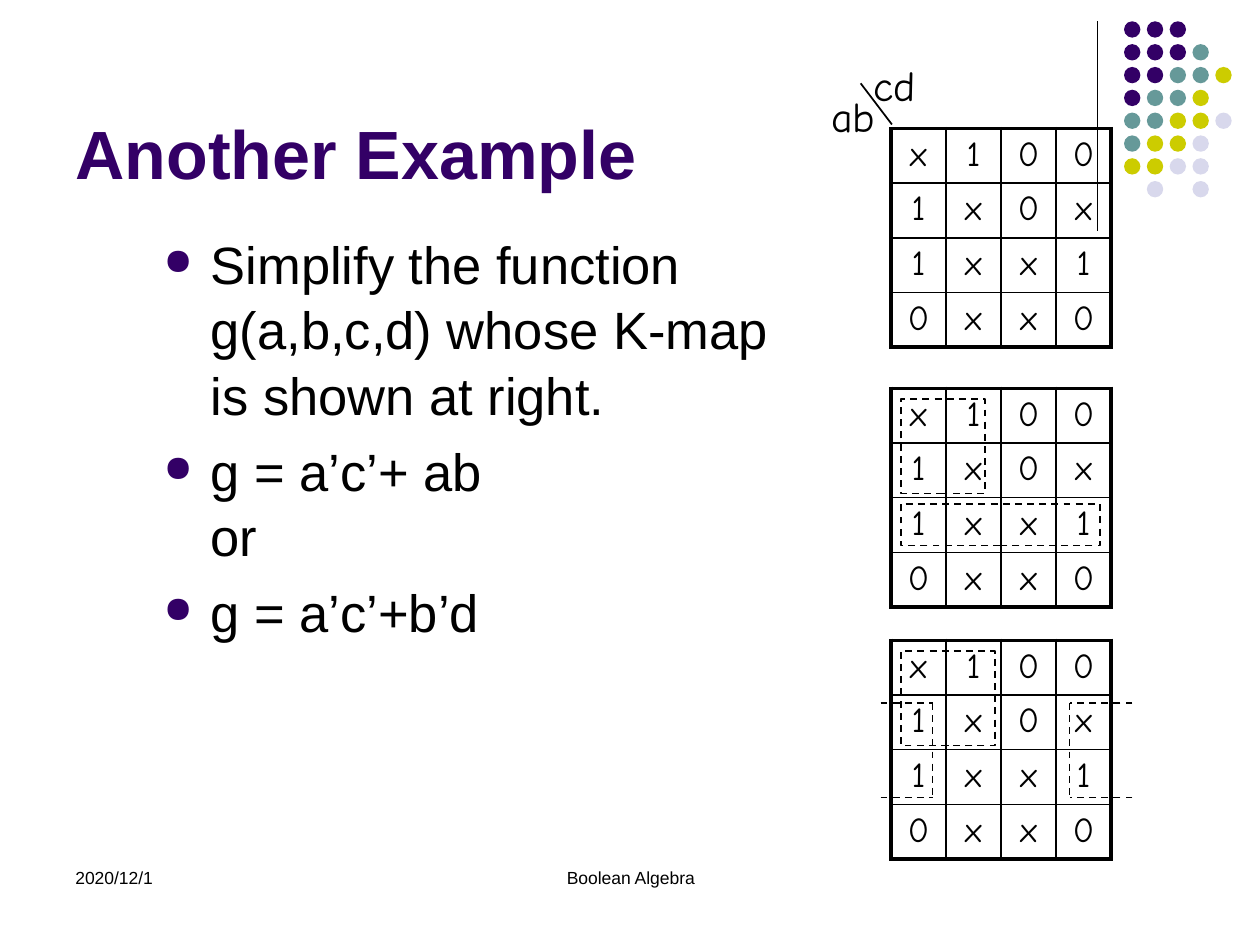
from lxml.etree import SubElement
from pptx import Presentation
from pptx.dml.color import RGBColor
from pptx.enum.dml import MSO_LINE
from pptx.enum.shapes import MSO_CONNECTOR, MSO_SHAPE
from pptx.enum.text import MSO_ANCHOR, MSO_AUTO_SIZE, PP_ALIGN
from pptx.oxml.ns import qn
from pptx.util import Cm, Pt

COLORS = {
    "ink": "000000",
    "purple": "330066",
    "teal": "669999",
    "olive": "CCCC00",
    "lilac": "D8D8EC",
}
DOT_COLORS = {"P": "purple", "T": "teal", "Y": "olive", "L": "lilac"}
DOT_ROWS = ["PPP", "PPPT", "PPTTY", "PTTY", "TTYYL", "TYYL", "YYLL", " L L"]
KMAP = ["x100", "1x0x", "1xx1", "0xx0"]
KMAP_LEFT = 17.96
KMAP_TOPS = [2.59, 7.83, 12.91]
BULLETS = [
    ["Simplify the function g(a,b,c,d) whose K-map is shown at right."],
    ["g = a’c’+ ab", "or"],
    ["g = a’c’+b’d"],
]


class Deck:
    body_font = "Arial"
    map_font = "Comic Neue"

    def __init__(self, prs):
        self.s = prs.slides.add_slide(prs.slide_layouts[5])

    def rgb(self, name):
        return RGBColor.from_string(COLORS[name])

    def run(self, p, text, size, font, color="ink", bold=False):
        r = p.add_run()
        r.text = text
        r.font.size = Pt(size)
        r.font.name = font
        r.font.bold = bold
        r.font.color.rgb = self.rgb(color)

    def title(self, text, x, y, w, h):
        sp = self.s.shapes.title
        sp.left, sp.top, sp.width, sp.height = Cm(x), Cm(y), Cm(w), Cm(h)
        tf = sp.text_frame
        tf.auto_size = MSO_AUTO_SIZE.NONE
        tf.vertical_anchor = MSO_ANCHOR.BOTTOM
        p = tf.paragraphs[0]
        p.alignment = PP_ALIGN.LEFT
        self.run(p, text, 39, self.body_font, "purple", True)

    def box(self, x, y, w, h, wrap=True):
        sp = self.s.shapes.add_textbox(Cm(x), Cm(y), Cm(w), Cm(h))
        sp.text_frame.word_wrap = wrap
        return sp.text_frame

    def label(self, text, x, y, w, h, size, font, align=PP_ALIGN.LEFT, wrap=True):
        p = self.box(x, y, w, h, wrap).paragraphs[0]
        p.alignment = align
        self.run(p, text, size, font)

    def bullets(self, items, x, y, w, h):
        tf = self.box(x, y, w, h)
        for i, lines in enumerate(items):
            p = tf.add_paragraph() if i else tf.paragraphs[0]
            pPr = p._p.get_or_add_pPr()
            pPr.set("marL", str(Cm(0.95)))
            pPr.set("indent", str(-Cm(0.95)))
            clr = SubElement(pPr, qn("a:buClr"))
            SubElement(clr, qn("a:srgbClr"), val=COLORS["purple"])
            SubElement(pPr, qn("a:buSzPct"), val="70000")
            SubElement(pPr, qn("a:buChar"), char="●")
            p.line_spacing = 1.04
            if i:
                p.space_before = Pt(6)
            for j, line in enumerate(lines):
                if j:
                    p.add_line_break()
                self.run(p, line, 30, self.body_font)

    def dot(self, x, y, size, color):
        sp = self.s.shapes.add_shape(MSO_SHAPE.OVAL, Cm(x), Cm(y), Cm(size), Cm(size))
        sp.shadow.inherit = False
        sp.fill.solid()
        sp.fill.fore_color.rgb = self.rgb(color)
        sp.line.fill.background()

    def stroke(self, line, width, dashed):
        line.color.rgb = self.rgb("ink")
        line.width = Pt(width)
        if dashed:
            line.dash_style = MSO_LINE.DASH

    def loop(self, x, y, w, h):
        sp = self.s.shapes.add_shape(MSO_SHAPE.RECTANGLE, Cm(x), Cm(y), Cm(w), Cm(h))
        sp.shadow.inherit = False
        sp.fill.background()
        self.stroke(sp.line, 1, True)

    def line(self, x1, y1, x2, y2, width=1, dashed=False):
        c = self.s.shapes.add_connector(
            MSO_CONNECTOR.STRAIGHT, Cm(x1), Cm(y1), Cm(x2), Cm(y2))
        SubElement(c._element.spPr, qn("a:effectLst"))
        self.stroke(c.line, width, dashed)

    def open_loop(self, tip, spine, top, bottom):
        self.line(tip, top, spine, top, dashed=True)
        self.line(spine, top, spine, bottom, dashed=True)
        self.line(tip, bottom, spine, bottom, dashed=True)

    def borders(self, cell, outer):
        tcPr = cell._tc.get_or_add_tcPr()
        for side in "LRTB":
            width = Pt(2.25 if side in outer else 1)
            ln = SubElement(tcPr, qn(f"a:ln{side}"), w=str(width))
            fill = SubElement(ln, qn("a:solidFill"))
            SubElement(fill, qn("a:srgbClr"), val=COLORS["ink"])

    def kmap(self, rows, x, y, col_w=1.11, row_h=1.1):
        n = len(rows)
        table = self.s.shapes.add_table(
            n, n, Cm(x), Cm(y), Cm(col_w * n), Cm(row_h * n)).table
        table.first_row = False
        table.horz_banding = False
        for i, row in enumerate(rows):
            table.rows[i].height = Cm(row_h)
            table.columns[i].width = Cm(col_w)
            for j, value in enumerate(row):
                cell = table.cell(i, j)
                outer = {0: "T", n - 1: "B"}.get(i, "") + {0: "L", n - 1: "R"}.get(j, "")
                self.borders(cell, outer)
                cell.fill.background()
                p = cell.text_frame.paragraphs[0]
                p.alignment = PP_ALIGN.CENTER
                self.run(p, value, 20, self.map_font)


def main():
    prs = Presentation()
    prs.slide_width, prs.slide_height = Cm(25.4), Cm(19.05)
    d = Deck(prs)

    d.line(22.12, 0.43, 22.12, 4.65, width=0.75)
    for i, row in enumerate(DOT_ROWS):
        for j, key in enumerate(row):
            if key in DOT_COLORS:
                d.dot(22.66 + 0.46 * j, 0.43 + 0.46 * i, 0.33, DOT_COLORS[key])

    d.title("\tAnother Example", 0, 0.84, 25.4, 3.18)
    d.bullets(BULLETS, 3.05, 4.5, 13.67, 12.57)
    d.label("2020/12/1", 1.27, 17.35, 5.92, 1.27, 10, d.body_font)
    d.label("Boolean Algebra", 8.69, 17.35, 8.05, 1.27, 10, d.body_font, PP_ALIGN.CENTER)

    for top in KMAP_TOPS:
        d.kmap(KMAP, KMAP_LEFT, top)

    d.loop(18.16, 8.05, 1.7, 1.9)
    d.loop(18.16, 10.16, 4.01, 0.84)
    d.loop(18.16, 13.13, 1.9, 1.9)
    for tip, spine in [(17.75, 18.8), (22.83, 21.56)]:
        d.open_loop(tip, spine, 14.17, 16.08)

    for text, x, y in [("ab", 16.51, 1.7), ("cd", 17.35, 1.07)]:
        d.label(text, x, y, 1.45, 1.27, 24, d.map_font, wrap=False)
    d.line(17.98, 2.51, 17.35, 1.68)

    prs.save("out.pptx")


if __name__ == "__main__":
    main()
